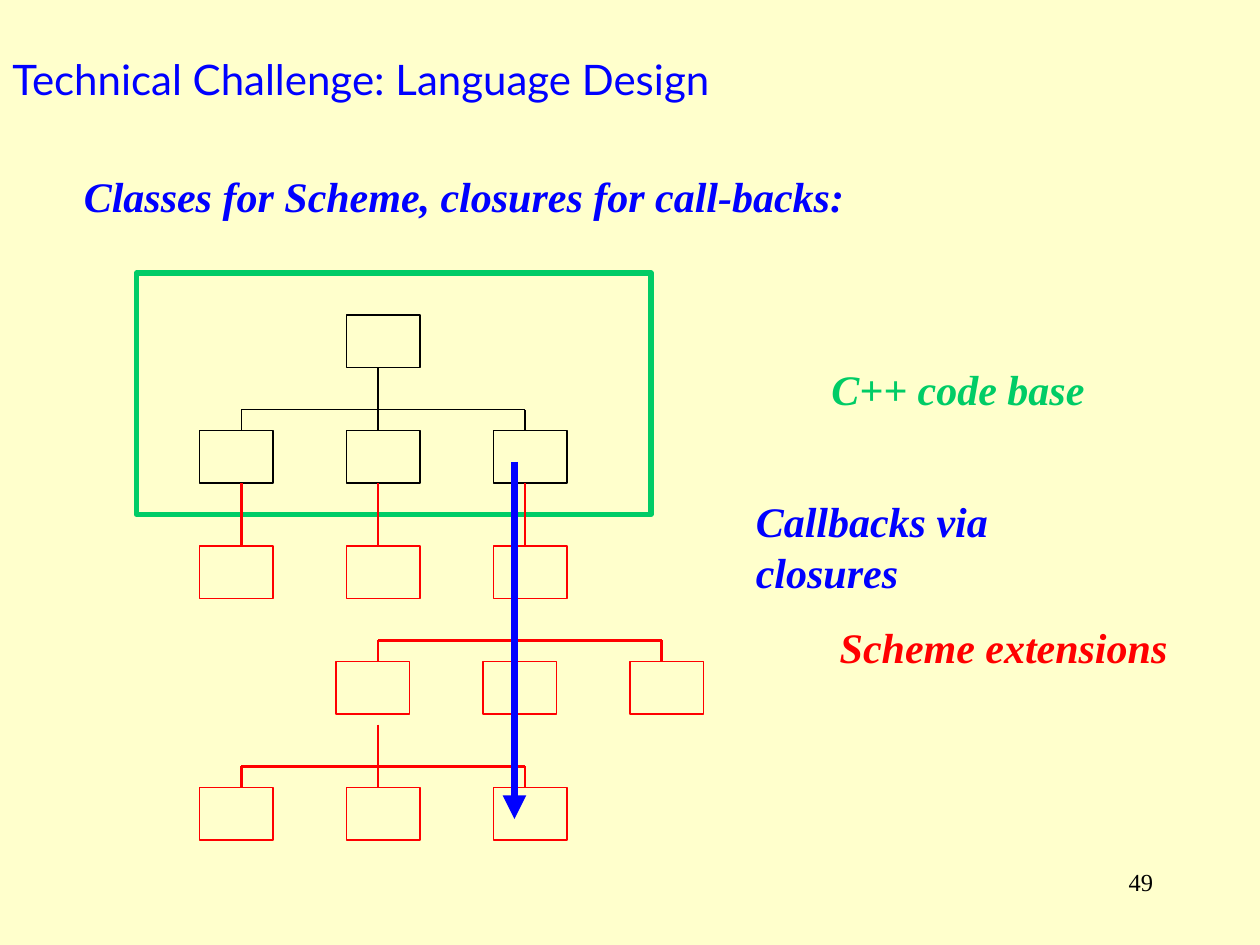
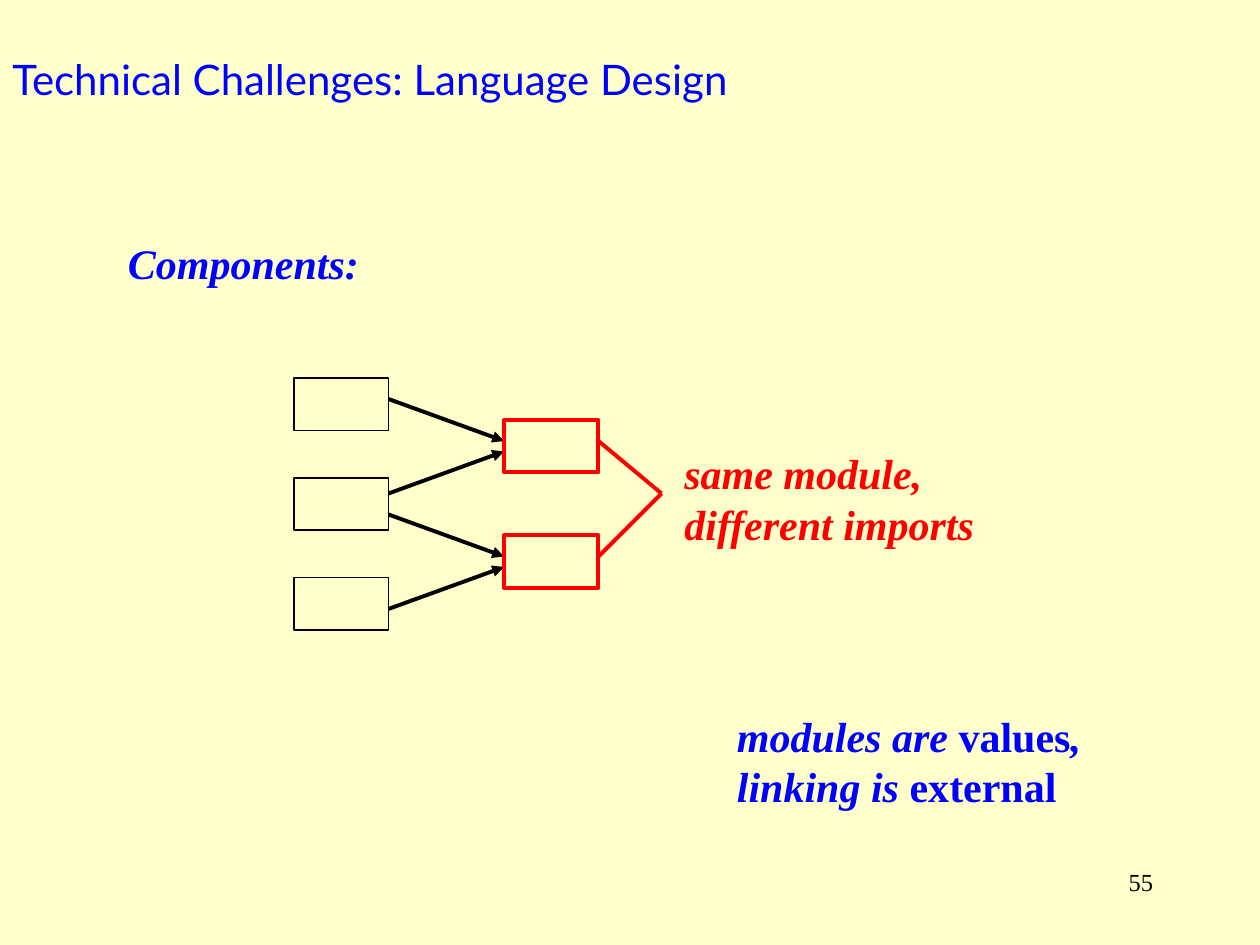
from lxml import etree
from pptx import Presentation
from pptx.dml.color import RGBColor
from pptx.enum.shapes import MSO_CONNECTOR, MSO_SHAPE
from pptx.enum.text import MSO_ANCHOR, PP_ALIGN
from pptx.oxml.ns import qn
from pptx.util import Cm, Pt

RECTANGLE = MSO_SHAPE.RECTANGLE
STRAIGHT = MSO_CONNECTOR.STRAIGHT
MIDDLE = MSO_ANCHOR.MIDDLE
RIGHT = PP_ALIGN.RIGHT

color = RGBColor.from_string
CREAM, BLACK, BLUE, GREEN, RED = "FFFFCC", "000000", "0000FF", "00CC66", "FF0000"
HEADING_FONT, BODY_FONT = "Lato", "Times New Roman"
GRID = 2.54 / 12


def add_box(slide, left, top, width, height, ink, weight=1):
    box = slide.shapes.add_shape(RECTANGLE, *[Cm(n * GRID) for n in (left, top, width, height)])
    box.shadow.inherit = False
    box.fill.background()
    box.line.color.rgb = color(ink)
    box.line.width = Pt(weight)


def add_line(slide, x1, y1, x2, y2, ink, weight, arrow=False):
    line = slide.shapes.add_connector(STRAIGHT, *[Cm(n * GRID) for n in (x1, y1, x2, y2)])
    line.line.color.rgb = color(ink)
    line.line.width = Pt(weight)
    if arrow:
        etree.SubElement(line.line._get_or_add_ln(), qn("a:tailEnd"), type="triangle")
    etree.SubElement(line._element.spPr, qn("a:effectLst"))


prs = Presentation()
prs.slide_width, prs.slide_height = Cm(25.4), Cm(19.05)
blank = prs.slide_layouts[6]
classes, components = [prs.slides.add_slide(blank) for _ in range(2)]

for slide, heading, number in (
    (classes, "Technical Challenge: Language Design", "49"),
    (components, "Technical Challenges: Language Design", "55"),
):
    slide.background.fill.solid()
    slide.background.fill.fore_color.rgb = color(CREAM)

    title = slide.shapes.add_textbox(0, 0, Cm(102 * GRID), Cm(15 * GRID)).text_frame
    title.word_wrap = True
    title.vertical_anchor = MIDDLE
    title.text = heading
    title_font = title.paragraphs[0].font
    title_font.name, title_font.size = HEADING_FONT, Pt(24)
    title_font.color.rgb = color(BLUE)

    footer = slide.shapes.add_textbox(*[Cm(n * GRID) for n in (86, 82, 25, 6)]).text_frame
    footer.word_wrap = True
    footer.text = number
    footer.paragraphs[0].alignment = RIGHT
    footer_font = footer.paragraphs[0].font
    footer_font.name, footer_font.size = BODY_FONT, Pt(14)
    footer_font.color.rgb = color(BLACK)

add_box(classes, 33, 30, 7, 5, BLACK)
for first_left, top, ink in ((19, 41, BLACK), (19, 52, RED), (32, 63, RED), (19, 75, RED)):
    for column in range(3):
        add_box(classes, first_left + 14 * column, top, 7, 5, ink)
add_box(classes, 13, 26, 49, 23, GREEN, 3)

for stem, top, branches, ink, weight in (
    (36, 35, (23, 36, 50), BLACK, 1),
    (49, 57, (36, 49, 63), RED, 1.5),
    (36, 69, (23, 36, 50), RED, 1.5),
):
    bar = top + 4
    add_line(classes, stem, top, stem, bar, ink, weight)
    add_line(classes, branches[0], bar, branches[-1], bar, ink, weight)
    for branch in branches:
        add_line(classes, branch, bar, branch, bar + 2, ink, weight)
for extension in (23, 36, 50):
    add_line(classes, extension, 46, extension, 52, RED, 1.5)
add_line(classes, 49, 44, 49, 78, BLUE, 4.5, arrow=True)

for row in range(3):
    add_box(components, 28, 36 + 9.5 * row, 9, 5, BLACK)
for start, end in ((38, 42), (47, 43), (49, 53), (58, 54)):
    add_line(components, 37, start, 48, end, BLACK, 2.25, arrow=True)
for module_top, link in ((40, 42), (51, 53)):
    add_box(components, 48, module_top, 9, 5, RED, 2.25)
    add_line(components, 57, link, 63, 47, RED, 2.25)

labels = [
    (classes, 6.8, 15.6, 74.8, BLUE, [["Classes for Scheme, closures for call-backs:"]]),
    (classes, 78, 34, 26.5, GREEN, [["C++ code base"]]),
    (classes, 70.8, 46.6, 39, BLUE, [["Callbacks via closures"]]),
    (classes, 78.8, 58.6, 33.6, RED, [["Scheme extensions"]]),
    (components, 11, 22, 24.4, BLUE, [["Components:"]]),
    (components, 64, 42, 30, RED, [["same module,"], ["different imports"]]),
    (components, 69, 67, 35.2, BLUE, [["modules are ", "values", ","], ["linking is ", "external"]]),
]
for slide, left, top, width, ink, lines in labels:
    height = 1.2 + 4.8 * len(lines)
    label = slide.shapes.add_textbox(*[Cm(n * GRID) for n in (left, top, width, height)]).text_frame
    label.word_wrap = False
    for index, pieces in enumerate(lines):
        paragraph = label.add_paragraph() if index else label.paragraphs[0]
        paragraph.line_spacing = Pt(29)
        font = paragraph.font
        font.name, font.size, font.bold, font.italic = BODY_FONT, Pt(24), True, True
        font.color.rgb = color(ink)
        for position, piece in enumerate(pieces):
            run = paragraph.add_run()
            run.text = piece
            if position % 2:
                run.font.italic = False

prs.save("out.pptx")
